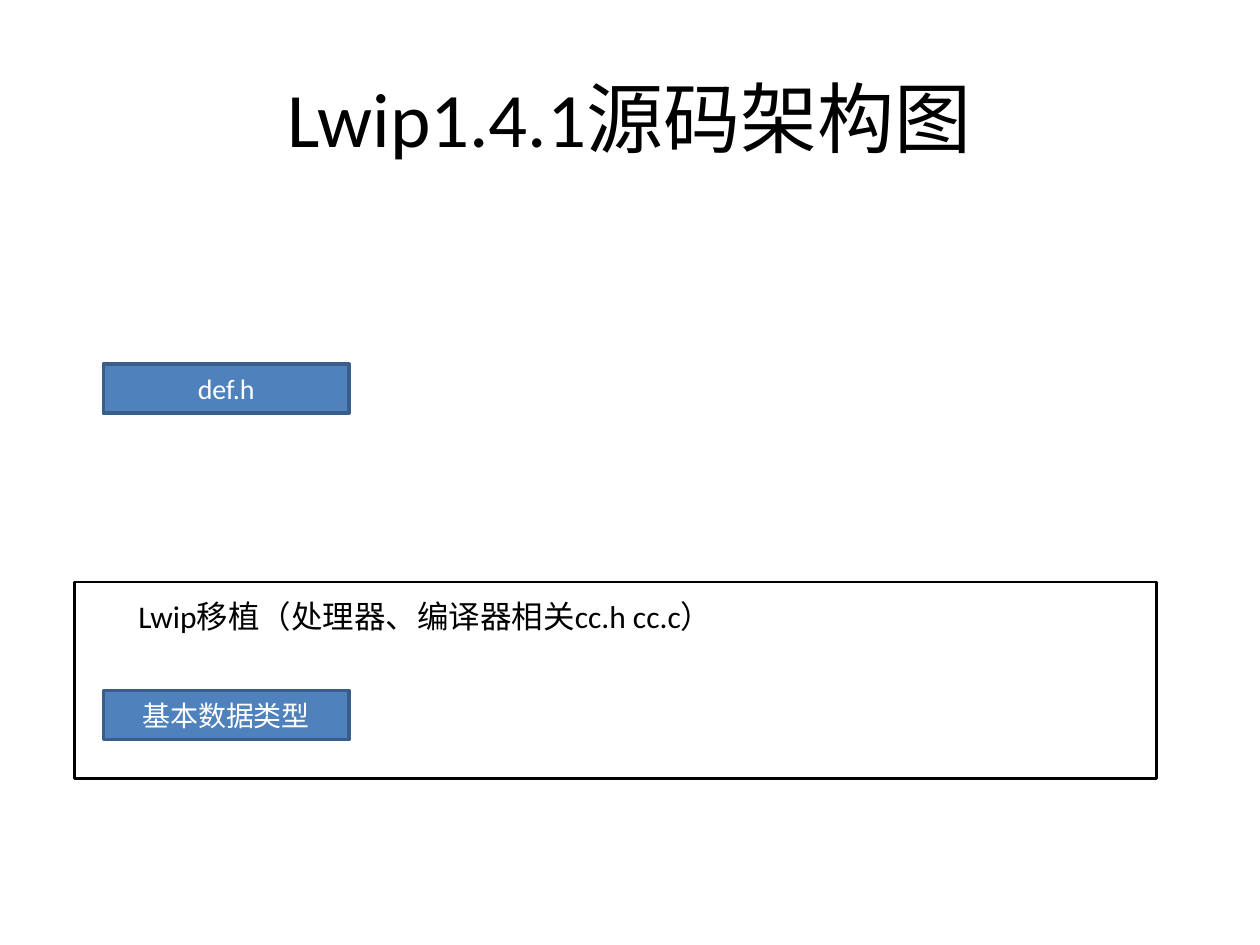
"""Builds the lwIP 1.4.1 source architecture slide."""
from lxml.etree import SubElement
from pptx import Presentation
from pptx.dml.color import RGBColor
from pptx.enum.shapes import MSO_SHAPE
from pptx.enum.text import MSO_ANCHOR, MSO_AUTO_SIZE, PP_ALIGN
from pptx.oxml.ns import qn
from pptx.util import Inches, Pt

COLORS = {"ink": "000000", "paper": "FFFFFF", "module": "4F81BD", "edge": "395E8A"}
LATIN, EAST_ASIAN = "Calibri", "Noto Sans CJK SC"

deck = Presentation()
deck.slide_width, deck.slide_height = Inches(10), Inches(7.5)
COLUMN, ROW = deck.slide_width / 100, deck.slide_height / 100


def grid(left, top, width, height):
    return [round(n) for n in (left * COLUMN, top * ROW, width * COLUMN, height * ROW)]


def write(shape, text, size, color, align, anchor, wrap=True):
    frame = shape.text_frame
    frame.word_wrap = wrap
    frame.auto_size = MSO_AUTO_SIZE.NONE if wrap else MSO_AUTO_SIZE.SHAPE_TO_FIT_TEXT
    frame.vertical_anchor = anchor
    para = frame.paragraphs[0]
    para.alignment = align
    span = para.add_run()
    span.text = text
    span.font.size = Pt(size)
    span.font.name = LATIN
    span.font.color.rgb = RGBColor.from_string(COLORS[color])
    SubElement(span.font._element, qn("a:ea")).set("typeface", EAST_ASIAN)


page = deck.slides.add_slide(deck.slide_layouts[5])
title = page.shapes.title
title.left, title.top, title.width, title.height = grid(5, 4, 90, 16.67)
write(title, "Lwip1.4.1源码架构图", 44, "ink", PP_ALIGN.CENTER, MSO_ANCHOR.MIDDLE)

rectangles = [
    ("基本数据类型", (8.2, 73.07, 19.5, 5.2), "module", "edge", 2),
    (None, (5.9, 61.6, 85.9, 20.8), None, "ink", 1.5),
    ("def.h", (8.2, 38.53, 19.5, 5.2), "module", "edge", 2),
]
for label, place, fill, line, weight in rectangles:
    box = page.shapes.add_shape(MSO_SHAPE.RECTANGLE, *grid(*place))
    box.shadow.inherit = False
    box.line.color.rgb = RGBColor.from_string(COLORS[line])
    box.line.width = Pt(weight)
    if fill:
        box.fill.solid()
        box.fill.fore_color.rgb = RGBColor.from_string(COLORS[fill])
    else:
        box.fill.background()
    if label:
        write(box, label, 16, "paper", PP_ALIGN.CENTER, MSO_ANCHOR.MIDDLE)

caption = page.shapes.add_textbox(*grid(10, 62.53, 49.4, 5.33))
write(caption, "Lwip移植（处理器、编译器相关cc.h cc.c）", 18, "ink",
      PP_ALIGN.LEFT, MSO_ANCHOR.TOP, wrap=False)

deck.save("out.pptx")
